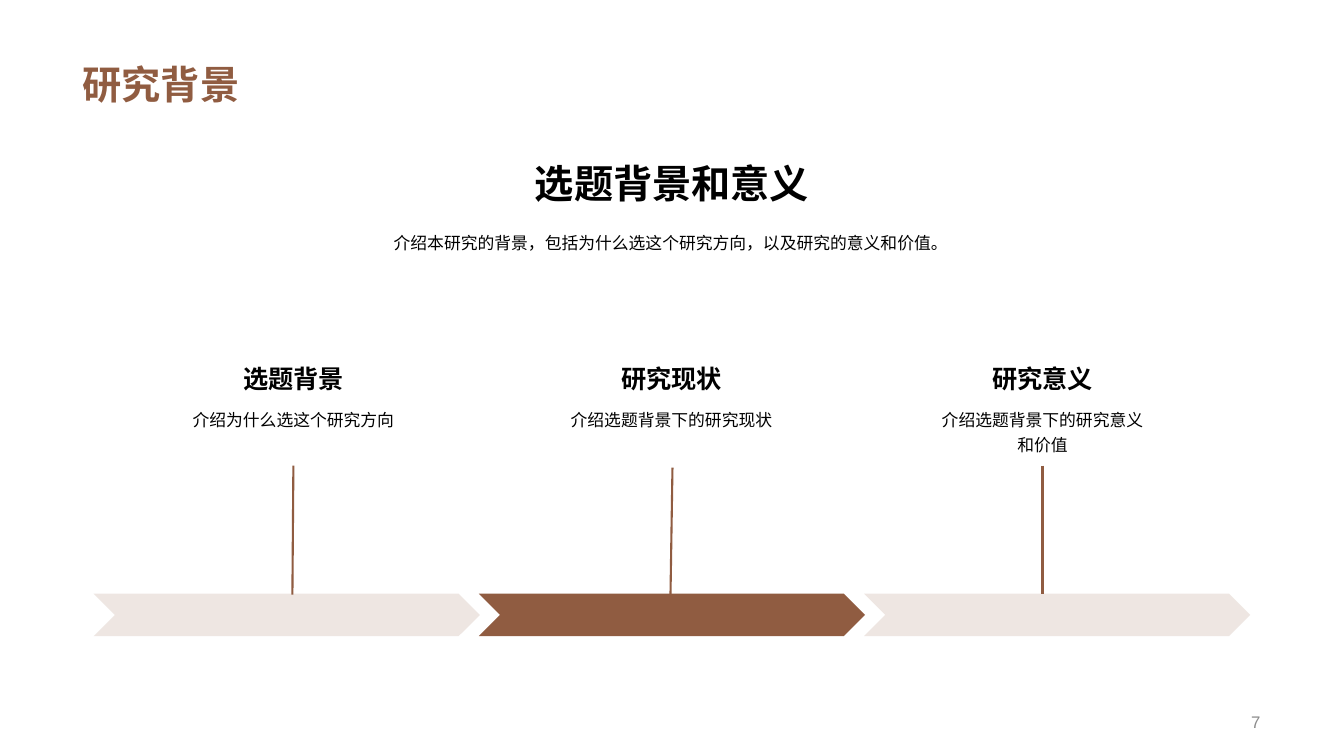
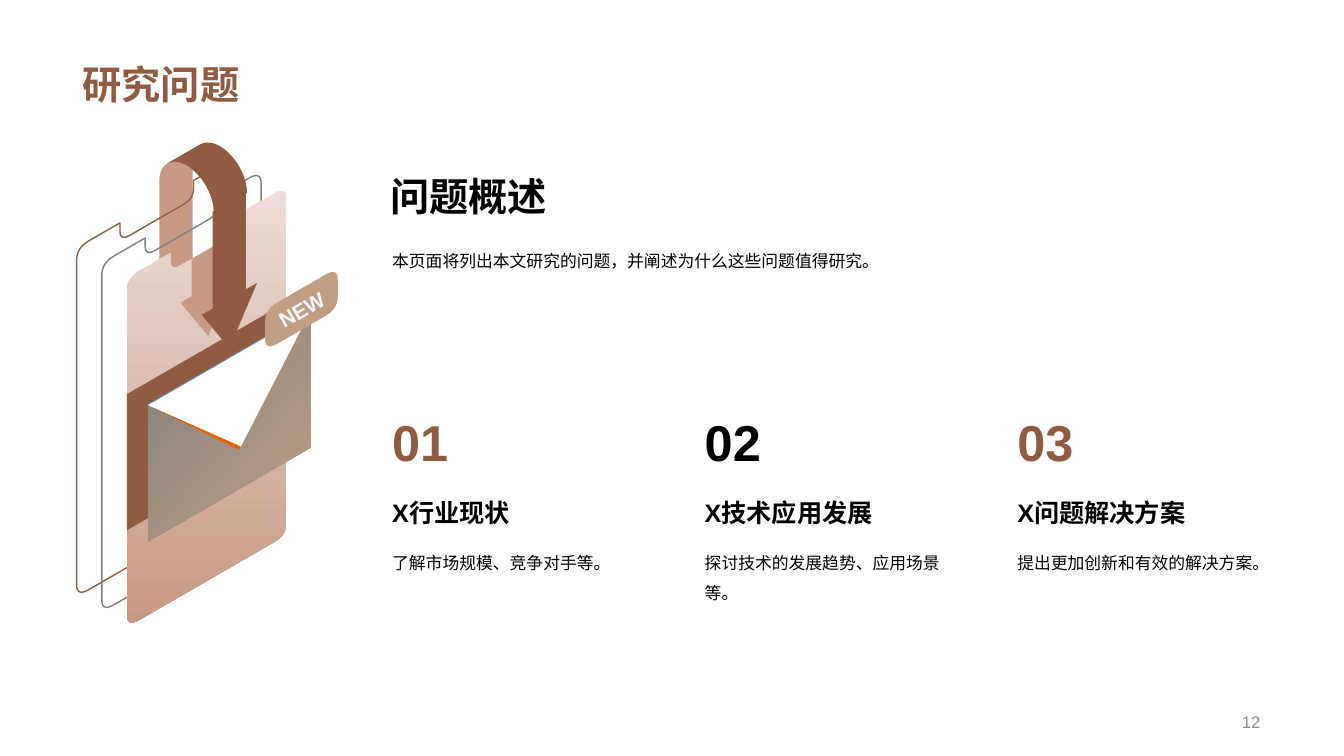
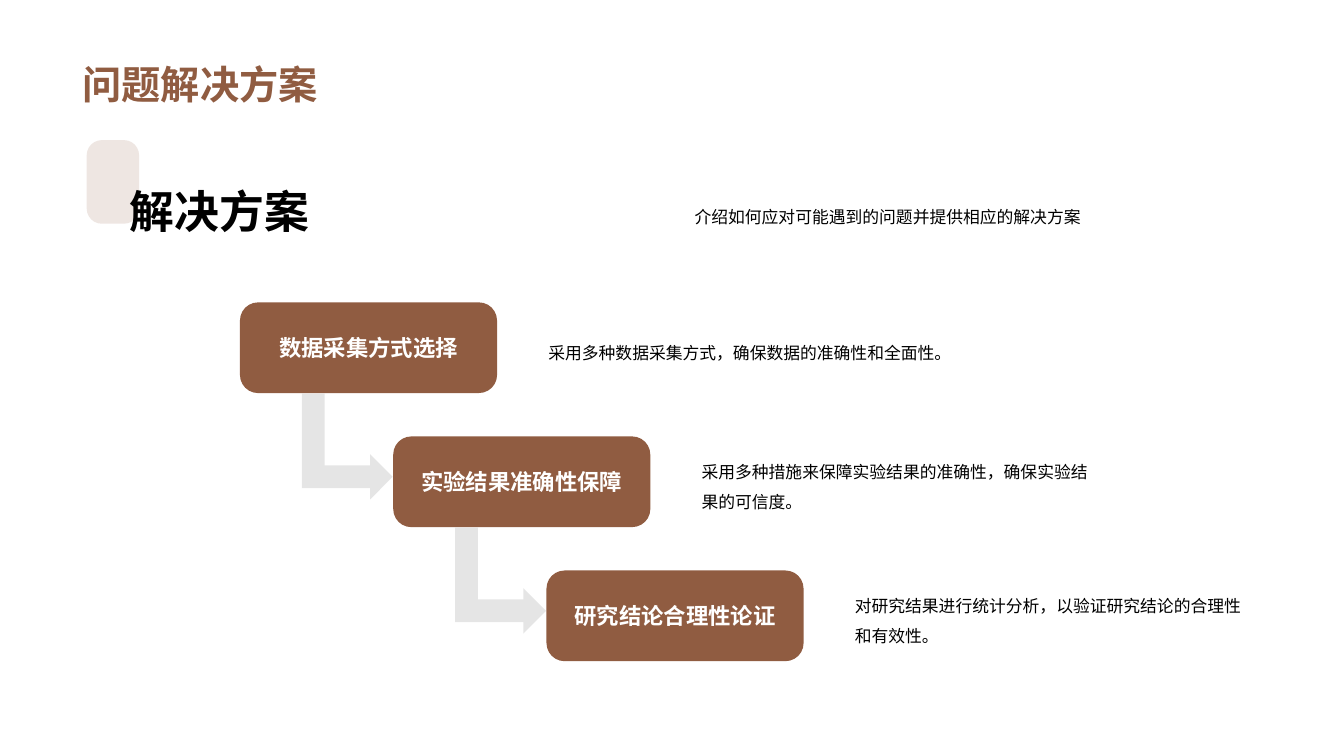
import dataclasses
import math

import lxml.etree
import pptx
import pptx.dml.color
import pptx.enum.lang
import pptx.enum.shapes
import pptx.enum.text
import pptx.oxml.ns
import pptx.util

Inches = pptx.util.Inches
RGB = pptx.dml.color.RGBColor.from_string
SHAPE = pptx.enum.shapes.MSO_SHAPE
ALIGN = pptx.enum.text.PP_ALIGN
ANCHOR = pptx.enum.text.MSO_ANCHOR
qn = pptx.oxml.ns.qn


@dataclasses.dataclass(frozen=True)
class Theme:
    font: str = "Arial"
    brown: str = "905C41"
    rose: str = "C79A83"
    blush: str = "ECDDD6"
    tan: str = "C29F82"
    gray: str = "7F7F7F"
    arrow_gray: str = "808080"
    footer: str = "8C8C8C"
    black: str = "000000"
    white: str = "FFFFFF"
    blue: str = "54A1FF"
    orange: str = "E95F01"
    badge_text: str = "F5F9FF"
    tint: int = 15
    arrow_tint: int = 20
    number: int = 36
    banner: int = 32
    title: int = 28
    heading: int = 18
    step: int = 16
    badge: int = 15
    body: int = 12


T = Theme()


def write(tf, text, size, color=T.black, bold=False, align=ALIGN.LEFT,
          anchor=ANCHOR.TOP, spacing=None, inset=None):
    tf.word_wrap = True
    tf.vertical_anchor = anchor
    if inset is not None:
        tf.margin_left = tf.margin_right = Inches(inset)
        tf.margin_top = tf.margin_bottom = Inches(inset)
    p = tf.paragraphs[0]
    p.alignment = align
    if spacing:
        p.line_spacing = spacing
    r = p.add_run()
    r.text = text
    r.font.name = T.font
    r.font.size = pptx.util.Pt(size)
    r.font.bold = bold
    r.font.color.rgb = RGB(color)
    r.font.language_id = pptx.enum.lang.MSO_LANGUAGE_ID.SIMPLIFIED_CHINESE


def paint(sp, color, opacity=100):
    sp.shadow.inherit = False
    sp.line.fill.background()
    sp.fill.solid()
    sp.fill.fore_color.rgb = RGB(color)
    if opacity < 100:
        clr = sp.element.spPr.find(qn("a:solidFill"))[0]
        lxml.etree.SubElement(clr, qn("a:alpha"), val=str(opacity * 1000))


prs = pptx.Presentation()
prs.slide_width, prs.slide_height = Inches(13.33), Inches(7.5)

# Shared background and title position
fill = prs.slide_master.background.fill
fill.solid()
fill.fore_color.rgb = RGB(T.white)
layout = prs.slide_layouts[5]
sp = layout.placeholders[0]
sp.left, sp.top, sp.width, sp.height = map(Inches, (0.72, 0, 11.88, 1.12))
sp.text_frame.auto_size = pptx.enum.text.MSO_AUTO_SIZE.NONE

# Slides with titles and page numbers
slides = []
for title, page in (("研究背景", "7"), ("研究问题", "12"), ("问题解决方案", None)):
    slide = prs.slides.add_slide(layout)
    write(slide.shapes.title.text_frame, title, T.title, T.brown, True,
          anchor=ANCHOR.BOTTOM)
    if page:
        sp = slide.shapes.add_textbox(Inches(8.6), Inches(7.01), Inches(4), Inches(0.3))
        write(sp.text_frame, page, T.body, T.footer, align=ALIGN.RIGHT,
              anchor=ANCHOR.MIDDLE)
    slides.append(slide)

# Slide 1: headline
shapes = slides[0].shapes
sp = shapes.add_textbox(Inches(2.75), Inches(1.53), Inches(7.83), Inches(0.57))
write(sp.text_frame, "选题背景和意义", T.title, bold=True, align=ALIGN.CENTER)
sp = shapes.add_textbox(Inches(2.74), Inches(2.22), Inches(7.83), Inches(0.32))
write(sp.text_frame, "介绍本研究的背景，包括为什么选这个研究方向，以及研究的意义和价值。",
      T.body, align=ALIGN.CENTER, spacing=1.2)

# Slide 1: chevrons with pins and labels
stages = (
    ("选题背景", "介绍为什么选这个研究方向", 1.77, 0.32, (2.91, 4.62, 2.9, 5.9), T.tint),
    ("研究现状", "介绍选题背景下的研究现状", 5.52, 0.32, (6.67, 4.64, 6.65, 5.9), 100),
    ("研究意义", "介绍选题背景下的研究意义和价值", 9.2, 0.56, (10.34, 4.62, 10.34, 5.89), T.tint),
)
for i, (name, detail, x, height, pin, opacity) in enumerate(stages):
    sp = shapes.add_shape(SHAPE.CHEVRON, Inches(0.93 + 3.82 * i), Inches(5.89),
                          Inches(3.83), Inches(0.42))
    paint(sp, T.brown, opacity)
    line = shapes.add_connector(pptx.enum.shapes.MSO_CONNECTOR.STRAIGHT,
                                *map(Inches, pin))
    line.line.color.rgb = RGB(T.brown)
    line.line.width = pptx.util.Pt(1.5)
    lxml.etree.SubElement(line.element.spPr, qn("a:effectLst"))
    sp = shapes.add_textbox(Inches(x), Inches(3.54), Inches(2.28), Inches(0.41))
    write(sp.text_frame, name, T.heading, bold=True, align=ALIGN.CENTER,
          anchor=ANCHOR.BOTTOM)
    sp = shapes.add_textbox(Inches(x), Inches(3.98), Inches(2.28), Inches(height))
    write(sp.text_frame, detail, T.body, align=ALIGN.CENTER, spacing=1.2)

# Slide 2: overview
shapes = slides[1].shapes
sp = shapes.add_textbox(Inches(3.77), Inches(1.66), Inches(8.84), Inches(0.57))
write(sp.text_frame, "问题概述", T.title, bold=True, anchor=ANCHOR.MIDDLE)
sp = shapes.add_textbox(Inches(3.77), Inches(2.35), Inches(8.84), Inches(0.46))
write(sp.text_frame, "本页面将列出本文研究的问题，并阐述为什么这些问题值得研究。", T.body,
      anchor=ANCHOR.BOTTOM, spacing=1.2, inset=0.12)

# Slide 2: numbered columns
questions = (
    ("01", T.brown, "X行业现状", "了解市场规模、竞争对手等。"),
    ("02", T.black, "X技术应用发展", "探讨技术的发展趋势、应用场景等。"),
    ("03", T.brown, "X问题解决方案", "提出更加创新和有效的解决方案。"),
)
for i, (number, color, name, detail) in enumerate(questions):
    rows = (
        (number, 3.96, 0.84, T.number, color, True, ANCHOR.BOTTOM, None),
        (name, 4.81, 0.54, T.heading, T.black, True, ANCHOR.BOTTOM, None),
        (detail, 5.26, 0.81, T.body, T.black, False, ANCHOR.TOP, 1.5),
    )
    for text, y, height, size, tone, bold, anchor, spacing in rows:
        sp = shapes.add_textbox(Inches(3.77 + 3.1 * i), Inches(y), Inches(2.6),
                                Inches(height))
        write(sp.text_frame, text, size, tone, bold, anchor=anchor,
              spacing=spacing, inset=0.12)

# Slide 2: envelope illustration. Every outline lies on an upright plane that
# rises 30 degrees to the right: corners are (across, down[, corner radius]).
RISE = math.tan(math.radians(30))

# Sheet with a rounded notch in its top edge
sheet_w, sheet_h, notch_left, notch_right, notch_h = 1.58, 3.46, 0.43, 1.16, 0.18
sheet = [(0, 0, 0.12), (notch_left, 0), (notch_left, notch_h, 0.1),
         (notch_right, notch_h, 0.1), (notch_right, 0), (sheet_w, 0, 0.12),
         (sheet_w, sheet_h, 0.12), (0, sheet_h, 0.12)]

# Plain panels and the badge: rectangles of (width, height, corner radius)
panel, envelope, badge = (
    [(0, 0, r), (w, 0, r), (w, h, r), (0, h, r)]
    for w, h, r in ((1.47, 1.35, 0), (1.61, 1.35, 0), (0.72, 0.41, 0.12)))
flap = [(0, 0), (0.92, 0.94), (1.61, 0)]
flap_shadow = [(0, 0), (0.9, 0.96), (1.61, 0)]
flap_edge = [(-0.01, -0.01), (1.6, -0.01), (1.61, 0), (0, 0)]

# Ribbon: a half loop, split at 135 degrees, drawn out to the ribbon's width
ribbon_w, head_out, head_h = 0.33, 0.11, 0.49
loop = [(0.27 * math.cos(a), 0.31 * (math.cos(a) - math.sin(a)))
        for a in (math.radians(d) for d in range(0, 181, 9))]
split = 15
ribbon_back, ribbon_front = (
    edge + [(u + ribbon_w, v) for u, v in reversed(edge)]
    for edge in (loop[split:] + [(loop[-1][0], 1)], loop[:split + 1]))

# Two arrows that differ only in the length of the shaft
arrow_back, arrow_front = (
    [(0, 0), (ribbon_w, 0), (ribbon_w, shaft), (ribbon_w + head_out, shaft),
     (ribbon_w / 2, shaft + head_h), (-head_out, shaft), (0, shaft)]
    for shaft in (0.37, 0.96))

# Pieces from back to front: corners, left, top, fill colours, outline colour
loop_x, loop_y = 1.85, 1.95
sheet_x, sheet_y = 1.26, 2.76
envelope_x, envelope_y = 1.47, 4.02
pieces = (
    (ribbon_back, loop_x, loop_y, [T.rose], None),
    (sheet, sheet_x - 0.5, sheet_y - 0.3, [], T.brown),
    (sheet, sheet_x - 0.25, sheet_y - 0.15, [], T.gray),
    (sheet, sheet_x, sheet_y, [T.blush, T.rose], None),
    (arrow_back, 1.9, 2.57, [T.rose], None),
    (panel, sheet_x, 3.91, [T.brown], None),
    (envelope, envelope_x, envelope_y, [T.gray, T.tan], None),
    (flap_edge, envelope_x, envelope_y, [T.blue], None),
    (flap_shadow, envelope_x, envelope_y, [T.orange], None),
    (flap, envelope_x, envelope_y, [T.white], None),
    (badge, 2.63, 3.07, [T.tan], None),
    (ribbon_front, loop_x, loop_y, [T.brown], None),
    (arrow_front, 2.11, 2.1, [T.brown], None),
)
for corners, left, top, colors, outline in pieces:
    # Round each corner with a curve between points on its two sides
    points = []
    for i, (u, v, *radius) in enumerate(corners):
        if not any(radius):
            points.append((u, v))
            continue
        ends = []
        for nu, nv, *_ in (corners[i - 1], corners[(i + 1) % len(corners)]):
            share = radius[0] / math.dist((u, v), (nu, nv))
            ends.append((u + (nu - u) * share, v + (nv - v) * share))
        (au, av), (bu, bv) = ends
        for t in (k / 8 for k in range(9)):
            a, c, b = (1 - t) ** 2, 2 * t * (1 - t), t ** 2
            points.append((a * au + c * u + b * bu, a * av + c * v + b * bv))

    # Project the plane onto the slide
    dots = [(Inches(left + u), Inches(top + v - RISE * u)) for u, v in points]
    builder = shapes.build_freeform(*dots[0])
    builder.add_line_segments(dots[1:], close=True)
    sp = builder.convert_to_shape()
    paint(sp, colors[0] if colors else T.white)
    if outline:
        sp.fill.background()
        sp.line.color.rgb = RGB(outline)
        sp.line.width = pptx.util.Pt(1)
    elif len(colors) == 2:
        sp.fill.gradient()
        sp.fill.gradient_angle = 320 if corners is envelope else 270
        for position, (stop, color) in enumerate(zip(sp.fill.gradient_stops, colors)):
            stop.color.rgb = RGB(color)
            stop.position = position

sp = shapes.add_textbox(Inches(2.64), Inches(2.92), Inches(0.7), Inches(0.3))
sp.rotation = -30
write(sp.text_frame, "NEW", T.badge, T.badge_text, True, ALIGN.CENTER,
      ANCHOR.MIDDLE, inset=0)

# Slide 3: heading
shapes = slides[2].shapes
sp = shapes.add_shape(SHAPE.ROUNDED_RECTANGLE, Inches(0.86), Inches(1.39),
                      Inches(0.52), Inches(0.83))
sp.adjustments[0] = 0.29
paint(sp, T.brown, T.tint)
sp = shapes.add_textbox(Inches(1.19), Inches(1.84), Inches(5.38), Inches(0.57))
write(sp.text_frame, "解决方案", T.banner, bold=True, anchor=ANCHOR.BOTTOM)
sp = shapes.add_textbox(Inches(6.79), Inches(1.97), Inches(5.09), Inches(0.32))
write(sp.text_frame, "介绍如何应对可能遇到的问题并提供相应的解决方案", T.body,
      align=ALIGN.JUSTIFY, anchor=ANCHOR.MIDDLE, spacing=1.2)

# Slide 3: staircase of steps
steps = (
    ("数据采集方式选择", "采用多种数据采集方式，确保数据的准确性和全面性。", 0.37),
    ("实验结果准确性保障", "采用多种措施来保障实验结果的准确性，确保实验结果的可信度。", 0.67),
    ("研究结论合理性论证", "对研究结果进行统计分析，以验证研究结论的合理性和有效性。", 0.67),
)
for i, (name, detail, height) in enumerate(steps):
    x, y = 2.38 + 1.52 * i, 3 + 1.33 * i
    sp = shapes.add_shape(SHAPE.ROUNDED_RECTANGLE, Inches(x), Inches(y),
                          Inches(2.55), Inches(0.9))
    sp.adjustments[0] = 0.2
    paint(sp, T.brown)
    write(sp.text_frame, name, T.step, T.white, True, ALIGN.CENTER, ANCHOR.MIDDLE,
          inset=0)
    sp = shapes.add_textbox(Inches(x + 2.96), Inches(y + 0.45 - height / 2),
                            Inches(4.09), Inches(height))
    write(sp.text_frame, detail, T.body, anchor=ANCHOR.MIDDLE, spacing=1.5)
    if i < len(steps) - 1:
        sp = shapes.add_shape(SHAPE.BENT_UP_ARROW, Inches(x + 0.54), Inches(y + 0.98),
                              Inches(1.05), Inches(0.9))
        sp.rotation = 90
        paint(sp, T.arrow_gray, T.arrow_tint)

prs.save("out.pptx")
